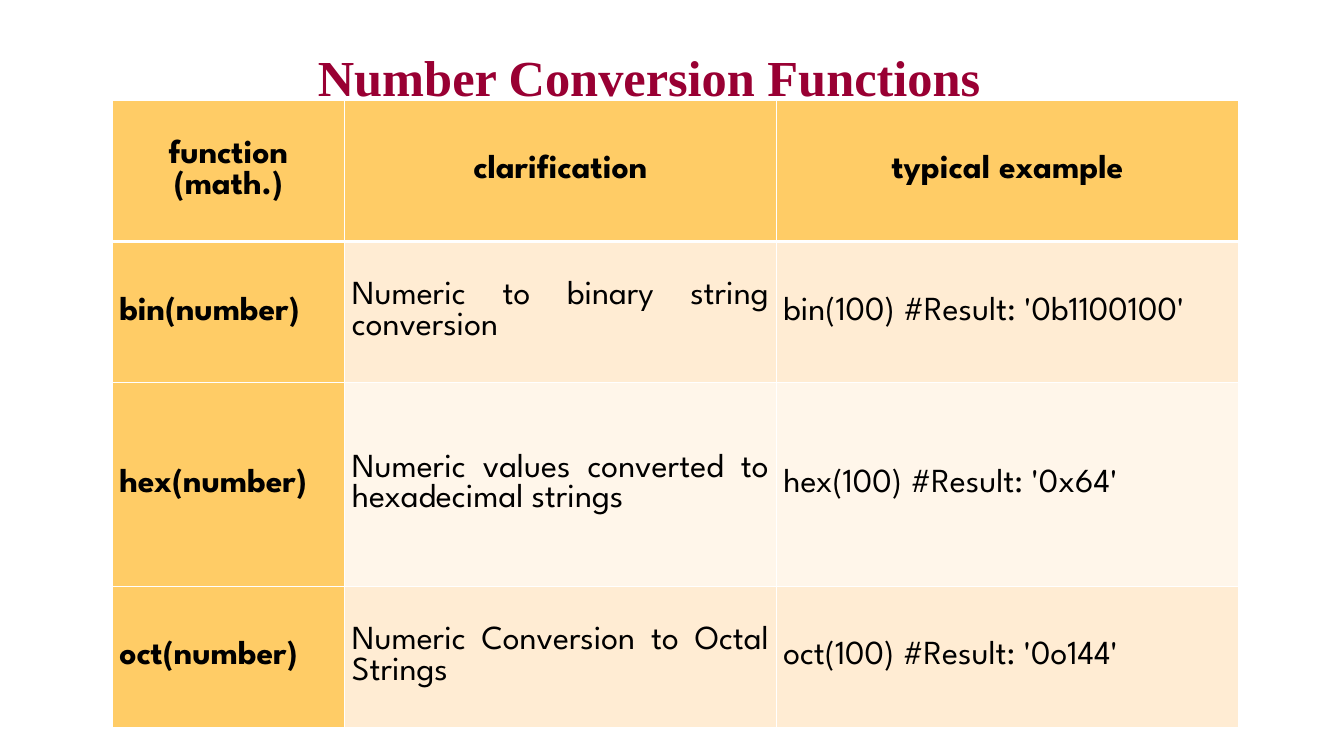
"""Build a slide with a table of number conversion functions."""
import pptx
import pptx.dml.color
import pptx.enum.text
import pptx.oxml
import pptx.oxml.ns
import pptx.util

COLORS = {
    "title": "990033",
    "text": "000000",
    "border": "FFFFFF",
    "heading": "FFCC66",
    "odd": "FFECD3",
    "even": "FFF6EA",
}
ALIGN = pptx.enum.text.PP_ALIGN
MIDDLE = pptx.enum.text.MSO_ANCHOR.MIDDLE
COLUMN_WIDTHS = [166.2, 308.2, 330.6]
ROW_HEIGHTS = [100.8, 100.8, 145.6, 100.8]
ROWS = [
    ["function (math.)", "clarification", "typical example"],
    ["bin(number)", "Numeric to binary string conversion", "bin(100) #Result: '0b1100100'"],
    ["hex(number)", "Numeric values converted to hexadecimal strings", "hex(100) #Result: '0x64'"],
    ["oct(number)", "Numeric Conversion to Octal Strings", "oct(100) #Result: '0o144'"],
]


class SlideBuilder:
    def __init__(self, slide):
        self.slide = slide
        self.title_font = {"name": "Times New Roman", "size": pptx.util.Pt(36), "bold": True}
        self.table_font = {"name": "League Spartan", "size": pptx.util.Pt(24)}
        self.cell_format = {
            "vertical_anchor": MIDDLE,
            "margin_left": pptx.util.Pt(5.2),
            "margin_right": pptx.util.Pt(5.2),
            "margin_top": 0,
            "margin_bottom": 0,
        }

    def apply(self, target, values):
        for name, value in values.items():
            setattr(target, name, value)

    def color(self, name):
        return pptx.dml.color.RGBColor.from_string(COLORS[name])

    def add_text(self, text_frame, text, font, color, alignment):
        paragraph = text_frame.paragraphs[0]
        paragraph.alignment = alignment
        run = paragraph.add_run()
        run.text = text
        self.apply(run.font, font)
        run.font.color.rgb = self.color(color)

    def title(self, text, *box):
        shape = self.slide.shapes.add_textbox(*map(pptx.util.Pt, box))
        self.apply(shape.text_frame, {"word_wrap": True, "vertical_anchor": MIDDLE})
        self.add_text(shape.text_frame, text, self.title_font, "title", ALIGN.CENTER)

    def borders(self, cell, widths):
        properties = cell._tc.get_or_add_tcPr()
        for index, (side, width) in enumerate(widths.items()):
            line = pptx.oxml.parse_xml(
                f'<a:ln{side} {pptx.oxml.ns.nsdecls("a")} w="{int(pptx.util.Pt(width))}">'
                f'<a:solidFill><a:srgbClr val="{COLORS["border"]}"/></a:solidFill></a:ln{side}>'
            )
            properties.insert(index, line)

    def cell(self, cell, text, row, column):
        is_header = row == 0
        is_heading = is_header or column == 0
        fill = "heading" if is_heading else "odd" if row % 2 else "even"
        self.apply(cell, self.cell_format)
        cell.fill.solid()
        cell.fill.fore_color.rgb = self.color(fill)
        font = {**self.table_font, "bold": is_heading}
        alignment = ALIGN.CENTER if is_header else ALIGN.JUSTIFY
        self.add_text(cell.text_frame, text, font, "text", alignment)
        top = 3 if row == 1 else 1
        bottom = 3 if is_header else 1
        self.borders(cell, {"L": 1, "R": 1, "T": top, "B": bottom})

    def table(self, rows, left, top, widths, heights):
        box = (left, top, sum(widths), sum(heights))
        frame = self.slide.shapes.add_table(len(rows), len(widths), *map(pptx.util.Pt, box))
        table = frame.table
        for column, width in zip(table.columns, widths):
            column.width = pptx.util.Pt(width)
        for row, height in zip(table.rows, heights):
            row.height = pptx.util.Pt(height)
        for row, texts in enumerate(rows):
            for column, text in enumerate(texts):
                self.cell(table.cell(row, column), text, row, column)


def main():
    presentation = pptx.Presentation()
    presentation.slide_width = pptx.util.Pt(960)
    presentation.slide_height = pptx.util.Pt(540)
    builder = SlideBuilder(presentation.slides.add_slide(presentation.slide_layouts[6]))
    builder.title("Number Conversion Functions", 80, 31.8, 767.5, 45.4)
    builder.table(ROWS, 80, 71.6, COLUMN_WIDTHS, ROW_HEIGHTS)
    presentation.save("out.pptx")


if __name__ == "__main__":
    main()
